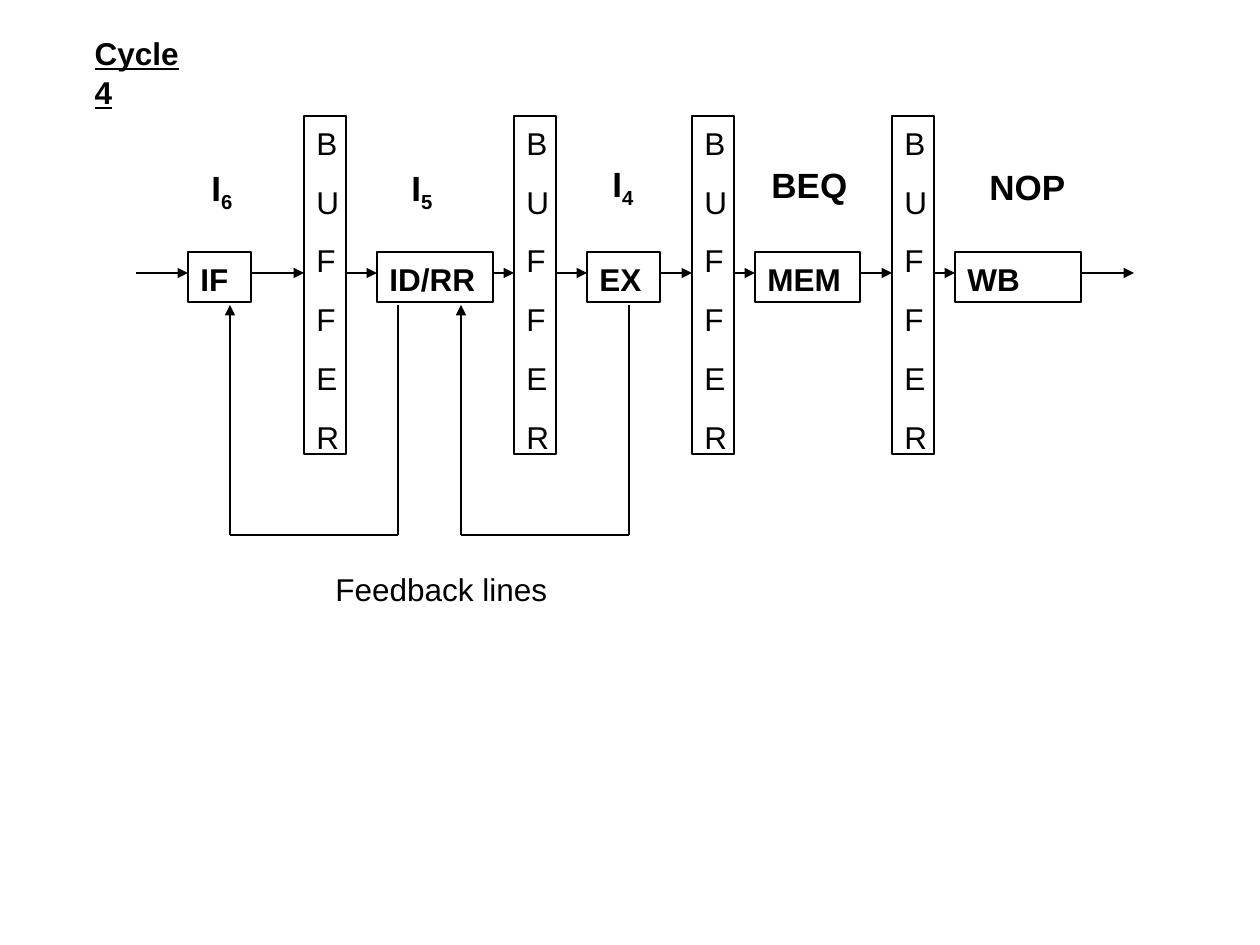
from lxml.etree import SubElement
from pptx import Presentation
from pptx.dml.color import RGBColor
from pptx.enum.shapes import MSO_CONNECTOR, MSO_SHAPE
from pptx.enum.text import MSO_ANCHOR, MSO_AUTO_SIZE, PP_ALIGN
from pptx.oxml.ns import qn
from pptx.util import Pt

EMU_PER_PX = 914400 / 126
FONT = "Arial"
COLORS = {"ink": "000000", "paper": "FFFFFF"}

# name, left, width of each stage; a buffer stands between neighbours
STAGES = [("IF", 188, 63), ("ID/RR", 377, 116), ("EX", 587, 73),
          ("MEM", 755, 105), ("WB", 955, 126)]
BUFFER_LEFTS = [304, 514, 692, 892]
BUFFER_WIDTH = 42
# text, subscript, box, wrap
INSTRUCTIONS = [("I", "6", (199, 158, 76, 60), True),
                ("I", "5", (399, 158, 62, 60), True),
                ("I", "4", (600, 154, 45, 60), False),
                ("BEQ", "", (759, 156, 101, 55), False),
                ("NOP", "", (977, 158, 136, 55), True)]
# left, top, width, height of each loop
FEEDBACK_LOOPS = [(230, 305, 168, 230), (461, 305, 168, 230)]


def px(length):
    return round(length * EMU_PER_PX)


def color(name):
    return RGBColor.from_string(COLORS[name])


def format_text(shape, size=18, bold=False, underline=False, space_before=0, wrap=True):
    frame = shape.text_frame
    frame.auto_size = MSO_AUTO_SIZE.NONE
    frame.word_wrap = wrap
    frame.vertical_anchor = MSO_ANCHOR.TOP
    frame.margin_left = frame.margin_right = Pt(7.2)
    frame.margin_top = frame.margin_bottom = Pt(3.6)
    for paragraph in frame.paragraphs:
        paragraph.alignment = PP_ALIGN.LEFT
        paragraph.space_before = Pt(space_before)
        paragraph.line_spacing = 1.04
        for run in paragraph.runs:
            run.font.name = FONT
            run.font.size = Pt(size)
            run.font.bold = bold
            run.font.underline = underline
            run.font.color.rgb = color("ink")


def add_box(slide, box, text, bold=False):
    shape = slide.shapes.add_shape(MSO_SHAPE.RECTANGLE, *map(px, box))
    shape.shadow.inherit = False
    shape.fill.solid()
    shape.fill.fore_color.rgb = color("paper")
    shape.line.color.rgb = color("ink")
    shape.line.width = Pt(0.75)
    shape.text_frame.text = text
    format_text(shape, bold=bold, space_before=11.2)


def add_line(slide, start, end, arrow=False):
    line = slide.shapes.add_connector(MSO_CONNECTOR.STRAIGHT, *map(px, start + end))
    line.line.color.rgb = color("ink")
    line.line.width = Pt(0.75)
    if arrow:
        SubElement(line.line._get_or_add_ln(), qn("a:tailEnd"), type="triangle")
    SubElement(line._element.spPr, qn("a:effectLst"))


def add_title(slide, box, text):
    title = slide.shapes.title
    title.left, title.top, title.width, title.height = map(px, box)
    title.text_frame.text = text
    format_text(title, bold=True, underline=True, wrap=False)


def add_pipeline(slide, box):
    """Place stages and buffers, with an arrow across each gap."""
    left, top, width, height = box
    stage_top, arrow_y = top + 136, top + 157
    spans = []
    for name, stage_left, stage_width in STAGES:
        add_box(slide, (stage_left, stage_top, stage_width, 50), name, bold=True)
        spans.append((stage_left, stage_left + stage_width))
    for buffer_left in BUFFER_LEFTS:
        add_box(slide, (buffer_left, top, BUFFER_WIDTH, height), "\n".join("BUFFER"))
        spans.append((buffer_left, buffer_left + BUFFER_WIDTH))
    spans.sort()
    starts = [left] + [span[1] for span in spans]
    ends = [span[0] for span in spans] + [left + width]
    for start, end in zip(starts, ends):
        add_line(slide, (start, arrow_y), (end, arrow_y), arrow=True)


def add_label(slide, box, text, subscript="", wrap=False, **style):
    label = slide.shapes.add_textbox(*map(px, box))
    label.text_frame.text = text
    if subscript:
        run = label.text_frame.paragraphs[0].add_run()
        run.text = subscript
        run._r.get_or_add_rPr().set("baseline", "-25000")
    format_text(label, wrap=wrap, **style)


def add_feedback_loop(slide, box):
    """Draw a line down from the right, then left and back up to an arrowhead."""
    left, top, width, height = box
    right, bottom = left + width, top + height
    add_line(slide, (right, top), (right, bottom))
    add_line(slide, (right, bottom), (left, bottom))
    add_line(slide, (left, bottom), (left, top), arrow=True)


def main():
    presentation = Presentation()
    presentation.slide_width, presentation.slide_height = px(1260), px(945)
    slide = presentation.slides.add_slide(presentation.slide_layouts[5])
    add_title(slide, (82, 26, 135, 50), "Cycle 4")
    add_pipeline(slide, (136, 116, 998, 338))
    for text, subscript, box, wrap in INSTRUCTIONS:
        add_label(slide, box, text, subscript, wrap, size=20, bold=True)
    for box in FEEDBACK_LOOPS:
        add_feedback_loop(slide, box)
    add_label(slide, (323, 562, 237, 50), "Feedback lines")
    presentation.save("out.pptx")


if __name__ == "__main__":
    main()
